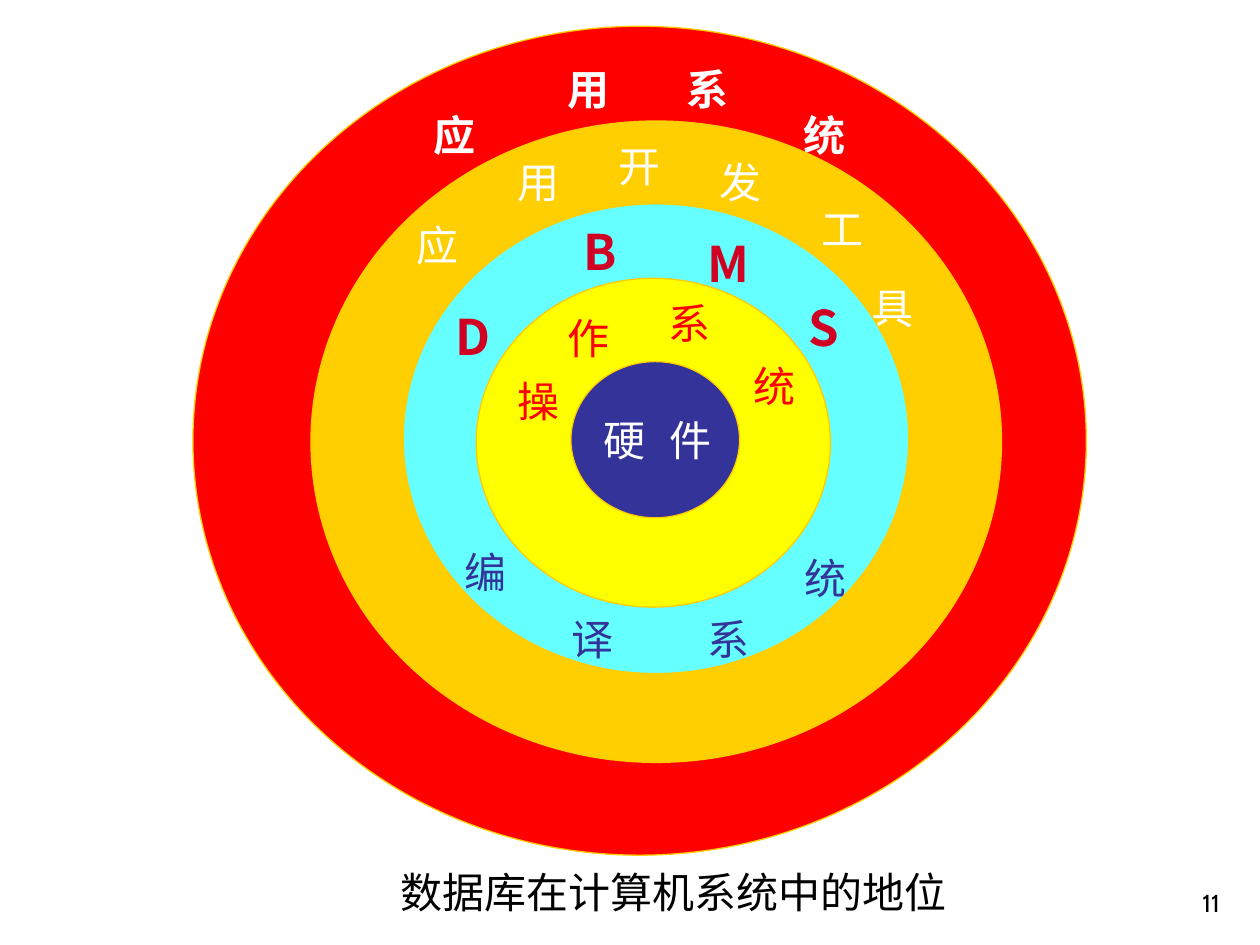
import pptx
import pptx.dml.color
import pptx.enum.shapes
import pptx.enum.text
import pptx.oxml
import pptx.oxml.ns
import pptx.util

Cm = pptx.util.Cm
RGBColor = pptx.dml.color.RGBColor
Anchor = pptx.enum.text.MSO_ANCHOR
Align = pptx.enum.text.PP_ALIGN

BLACK = RGBColor(0x00, 0x00, 0x00)
WHITE = RGBColor(0xFF, 0xFF, 0xFF)
RED = RGBColor(0xFF, 0x00, 0x00)
CRIMSON = RGBColor(0xD1, 0x01, 0x24)
AMBER = RGBColor(0xFF, 0xCF, 0x01)
GOLD = RGBColor(0xFF, 0xCC, 0x00)
CYAN = RGBColor(0x66, 0xFF, 0xFF)
YELLOW = RGBColor(0xFF, 0xFF, 0x00)
INDIGO = RGBColor(0x33, 0x33, 0x99)

CHINESE_FONT = "Noto Sans CJK SC"
NUMBER_FONT = "Cabin"
LABEL_SIZE = (1.7, 1.02)

LAYERS = [
    ((3.89, 0.53, 18.01, 16.71), RED, {"color": WHITE, "bold": True},
     [("应", 8.31, 2.21), ("用", 11.02, 1.27), ("系", 13.41, 1.27), ("统", 15.77, 2.21)]),
    ((6.27, 2.44, 13.92, 12.93), AMBER, {"color": WHITE},
     [("应", 7.98, 4.42), ("用", 10.01, 3.15), ("开", 12.04, 2.84),
      ("发", 14.07, 3.15), ("工", 16.13, 4.09), ("具", 17.15, 5.69)]),
    ((8.13, 4.11, 10.19, 9.47), CYAN, {"color": INDIGO},
     [("编", 8.94, 11.02), ("译", 11.1, 12.37), ("系", 13.84, 12.37), ("统", 15.8, 11.13)]),
    ((9.6, 5.61, 7.14, 6.63), YELLOW, {"color": RED},
     [("操", 10.01, 7.57), ("作", 11.02, 6.3), ("系", 13.06, 5.99), ("统", 14.76, 7.26)]),
    ((11.51, 7.29, 3.4, 3.15), INDIGO, {"color": WHITE},
     [("硬", 11.73, 8.36), ("件", 13.08, 8.36)]),
]

DBMS_LETTERS = [
    ("D", 9.09, 6.17, 0.89),
    ("B", 11.51, 4.47, 1.19),
    ("M", 14.05, 4.7, 1.27),
    ("S", 16.21, 5.99, 0.79),
]


class SlideBuilder:
    def __init__(self, page):
        self.page = page
        self.line_color = GOLD
        self.line_width = pptx.util.Pt(0.75)

    def ring(self, shapes, bounds, color):
        ellipse = shapes.add_shape(pptx.enum.shapes.MSO_SHAPE.OVAL, *map(Cm, bounds))
        ellipse.shadow.inherit = False
        ellipse.fill.solid()
        ellipse.fill.fore_color.rgb = color
        ellipse.line.color.rgb = self.line_color
        ellipse.line.width = self.line_width

    def text(self, shapes, words, bounds, color, size=24, bold=False, font=CHINESE_FONT,
             align=Align.CENTER, anchor=Anchor.MIDDLE, margins=(0, 0)):
        box = shapes.add_textbox(*map(Cm, bounds))
        side, edge = map(Cm, margins)
        frame_format = {
            "word_wrap": True, "vertical_anchor": anchor,
            "margin_left": side, "margin_right": side,
            "margin_top": edge, "margin_bottom": edge,
        }
        for name, value in frame_format.items():
            setattr(box.text_frame, name, value)
        para = box.text_frame.paragraphs[0]
        para.alignment = align
        span = para.add_run()
        span.text = words
        span.font.color.rgb = color
        for name, value in {"name": font, "size": pptx.util.Pt(size), "bold": bold}.items():
            setattr(span.font, name, value)
        east_asian = pptx.oxml.parse_xml(
            f'<a:ea {pptx.oxml.ns.nsdecls("a")} typeface="{font}"/>')
        span.font._element.append(east_asian)

    def layers(self):
        group = self.page.shapes.add_group_shape()
        for bounds, fill, style, labels in LAYERS:
            self.ring(group.shapes, bounds, fill)
            for word, left, top in labels:
                self.text(group.shapes, word, (left, top, *LABEL_SIZE), **style)

    def dbms(self):
        for letter, left, top, width in DBMS_LETTERS:
            self.text(self.page.shapes, letter, (left, top, width, 1.19), CRIMSON,
                      size=28, bold=True)

    def footer(self):
        margins = (0.25, 0.13)
        self.text(self.page.shapes, "数据库在计算机系统中的地位", (5.56, 17.35, 16.03, 1.27),
                  BLACK, margins=margins)
        self.text(self.page.shapes, "11", (19.56, 17.35, 5.28, 1.27), BLACK, size=14,
                  font=NUMBER_FONT, align=Align.RIGHT, anchor=Anchor.BOTTOM, margins=margins)


def main():
    deck = pptx.Presentation()
    deck.slide_width, deck.slide_height = Cm(25.4), Cm(19.05)
    builder = SlideBuilder(deck.slides.add_slide(deck.slide_layouts[6]))
    builder.layers()
    builder.dbms()
    builder.footer()
    deck.save("out.pptx")


if __name__ == "__main__":
    main()
